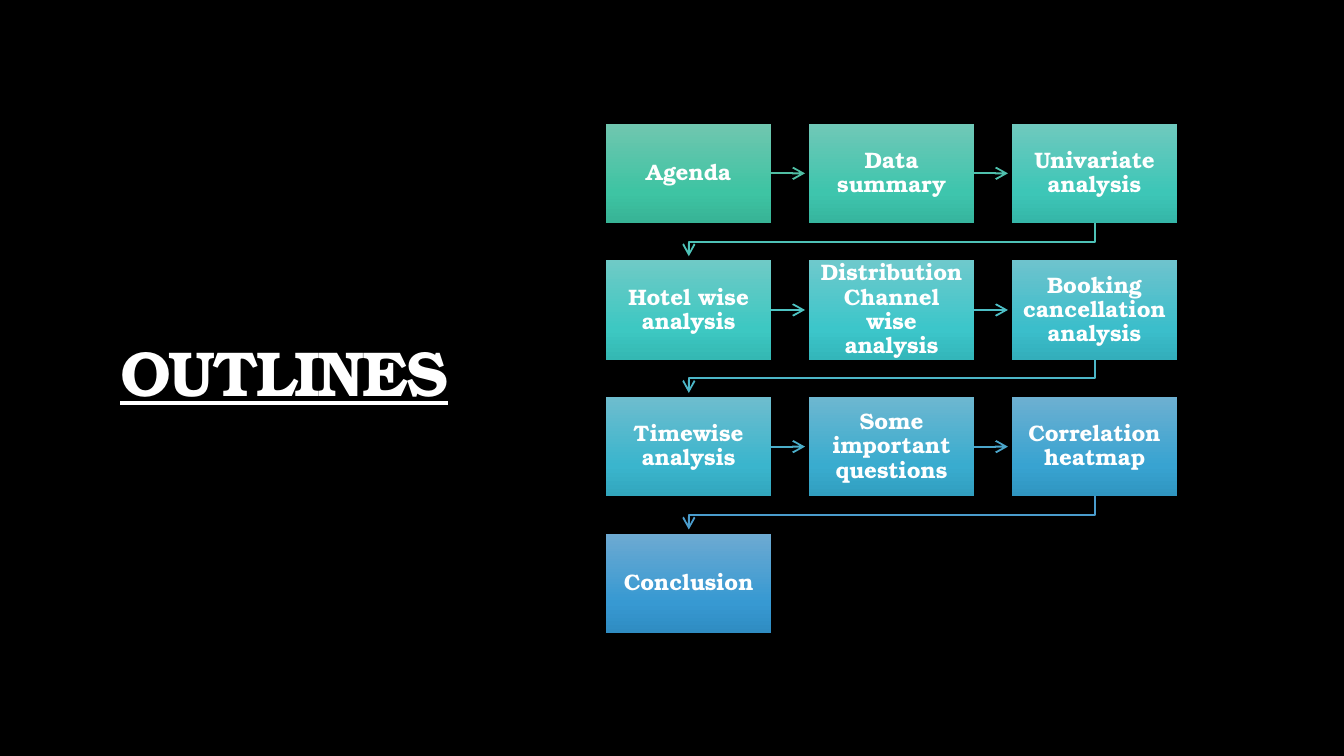
from copy import deepcopy
from dataclasses import dataclass

from lxml import etree
from pptx import Presentation
from pptx.dml.color import RGBColor
from pptx.enum import shapes, text
from pptx.oxml import parse_xml
from pptx.oxml.ns import nsdecls, qn
from pptx.util import Inches, Pt


@dataclass(frozen=True)
class Theme:
    font: str = "TeX Gyre Bonum"
    background: str = "000000"
    ink: str = "FFFFFF"
    title_size: int = 34
    step_size: int = 12
    line_width: int = 1
    gradient_stops: tuple = (0, 0.69, 1)


THEME = Theme()

# Label, gradient colours from top to bottom, colour of the arrow that leaves the step
STEPS = [
    ("Agenda", ("70C6AF", "3EC4A3", "37B395"), "50BEA3"),
    ("Data summary", ("70C8B7", "3EC5AD", "36B59E"), "4FC0AD"),
    ("Univariate analysis", ("6FC9BE", "3DC6B7", "35B6A8"), "4EC2B7"),
    ("Hotel wise analysis", ("6FCAC6", "3DC8C2", "34B8B3"), "4EC3C2"),
    ("Distribution Channel wise analysis", ("6EC9CC", "3CC6CA", "33B6BA"), "4DBEC5"),
    ("Booking cancellation analysis", ("6EC3CD", "3BBECB", "33AEBB"), "4CB6C7"),
    ("Timewise analysis", ("6EBDCE", "3AB5CD", "32A6BD"), "4BAEC9"),
    ("Some important questions", ("6DB7D0", "39ACCF", "319EBF"), "4BA5CA"),
    ("Correlation heatmap", ("6DB0D1", "38A3D1", "3095C0"), "4A9CCC"),
    ("Conclusion", ("6DAAD2", "3799D2", "2F8CC2"), None),
]
COLUMNS = 3
STEP_WIDTH, STEP_HEIGHT = 1.23, 0.74
ARROW_GAP = 0.03  # space between an arrow tip and the next step


def write_text(shape, content, size, inset):
    frame = shape.text_frame
    frame.text = content
    frame.word_wrap = True
    frame.vertical_anchor = text.MSO_ANCHOR.MIDDLE
    frame.margin_left = frame.margin_right = Inches(inset)
    frame.margin_top = frame.margin_bottom = Inches(inset)
    paragraph = frame.paragraphs[0]
    paragraph.alignment = text.PP_ALIGN.CENTER
    paragraph.line_spacing = 0.9
    font = paragraph.runs[0].font
    font.name, font.size, font.bold = THEME.font, Pt(size), True
    font.color.rgb = RGBColor.from_string(THEME.ink)
    return paragraph.runs[0]


def add_title(slide, left, top, width, height):
    box = slide.shapes.add_textbox(*map(Inches, (left, top, width, height)))
    run = write_text(box, "OUTLINES", THEME.title_size, 0.05)
    run.font.underline = True
    run.font._element.set("spc", "-110")


def fill_gradient(shape, colors):
    shape.fill.gradient()
    shape.fill.gradient_angle = 270
    stop_list = shape._element.spPr.find(".//" + qn("a:gsLst"))
    stop_list.append(deepcopy(stop_list[-1]))
    for stop, position, color in zip(shape.fill.gradient_stops, THEME.gradient_stops, colors):
        stop.position = position
        stop.color.rgb = RGBColor.from_string(color)


def add_step(slide, label, colors, left, top):
    step = slide.shapes.add_shape(
        shapes.MSO_SHAPE.RECTANGLE, *map(Inches, (left, top, STEP_WIDTH, STEP_HEIGHT)))
    fill_gradient(step, colors)
    step.line.fill.background()
    step._element.spPr.append(parse_xml(
        f'<a:effectLst {nsdecls("a")}><a:outerShdw blurRad="50800" dist="38100" dir="5400000">'
        '<a:srgbClr val="000000"><a:alpha val="54000"/></a:srgbClr>'
        '</a:outerShdw></a:effectLst>'))
    write_text(step, label, THEME.step_size, 0.06)
    return step


def style_arrow(arrow, color):
    arrow.line.color.rgb = RGBColor.from_string(color)
    arrow.line.width = Pt(THEME.line_width)
    properties = arrow._element.spPr
    etree.SubElement(properties.find(qn("a:ln")), qn("a:tailEnd"), type="arrow")
    etree.SubElement(properties, qn("a:effectLst"))


def add_next_arrow(slide, step, following, color):
    middle = step.top + step.height // 2
    arrow = slide.shapes.add_connector(
        shapes.MSO_CONNECTOR.STRAIGHT, step.left + step.width, middle,
        following.left - Inches(ARROW_GAP), middle)
    arrow.begin_connect(step, 3)
    style_arrow(arrow, color)


def add_return_arrow(slide, step, following, color):
    start_x = step.left + step.width // 2
    end_x = following.left + following.width // 2
    bottom = step.top + step.height
    turn = (bottom + following.top) // 2
    builder = slide.shapes.build_freeform(start_x, bottom)
    builder.add_line_segments(
        [(start_x, turn), (end_x, turn), (end_x, following.top - Inches(ARROW_GAP))],
        close=False)
    arrow = builder.convert_to_shape()
    arrow.fill.background()
    style_arrow(arrow, color)


def add_flow(slide, left, top, width, height):
    rows = -(-len(STEPS) // COLUMNS)
    pitch_x = (width - STEP_WIDTH) / (COLUMNS - 1)
    pitch_y = (height - STEP_HEIGHT) / (rows - 1)

    # Steps, row by row
    boxes = []
    for index, (label, colors, _) in enumerate(STEPS):
        row, column = divmod(index, COLUMNS)
        boxes.append(add_step(slide, label, colors,
                              left + column * pitch_x, top + row * pitch_y))

    # Arrows: straight within a row, bent at the end of a row
    for index, (step, following) in enumerate(zip(boxes, boxes[1:])):
        ends_row = index % COLUMNS == COLUMNS - 1
        add_arrow = add_return_arrow if ends_row else add_next_arrow
        add_arrow(slide, step, following, STEPS[index][2])


def main():
    presentation = Presentation()
    presentation.slide_width = Inches(10)
    presentation.slide_height = presentation.slide_width * 9 // 16
    slide = presentation.slides.add_slide(presentation.slide_layouts[6])
    slide.background.fill.solid()
    slide.background.fill.fore_color.rgb = RGBColor.from_string(THEME.background)

    add_title(slide, 0.62, 0.5, 2.99, 4.6)
    add_flow(slide, 4.51, 0.92, 4.25, 3.79)
    presentation.save("out.pptx")


if __name__ == "__main__":
    main()
